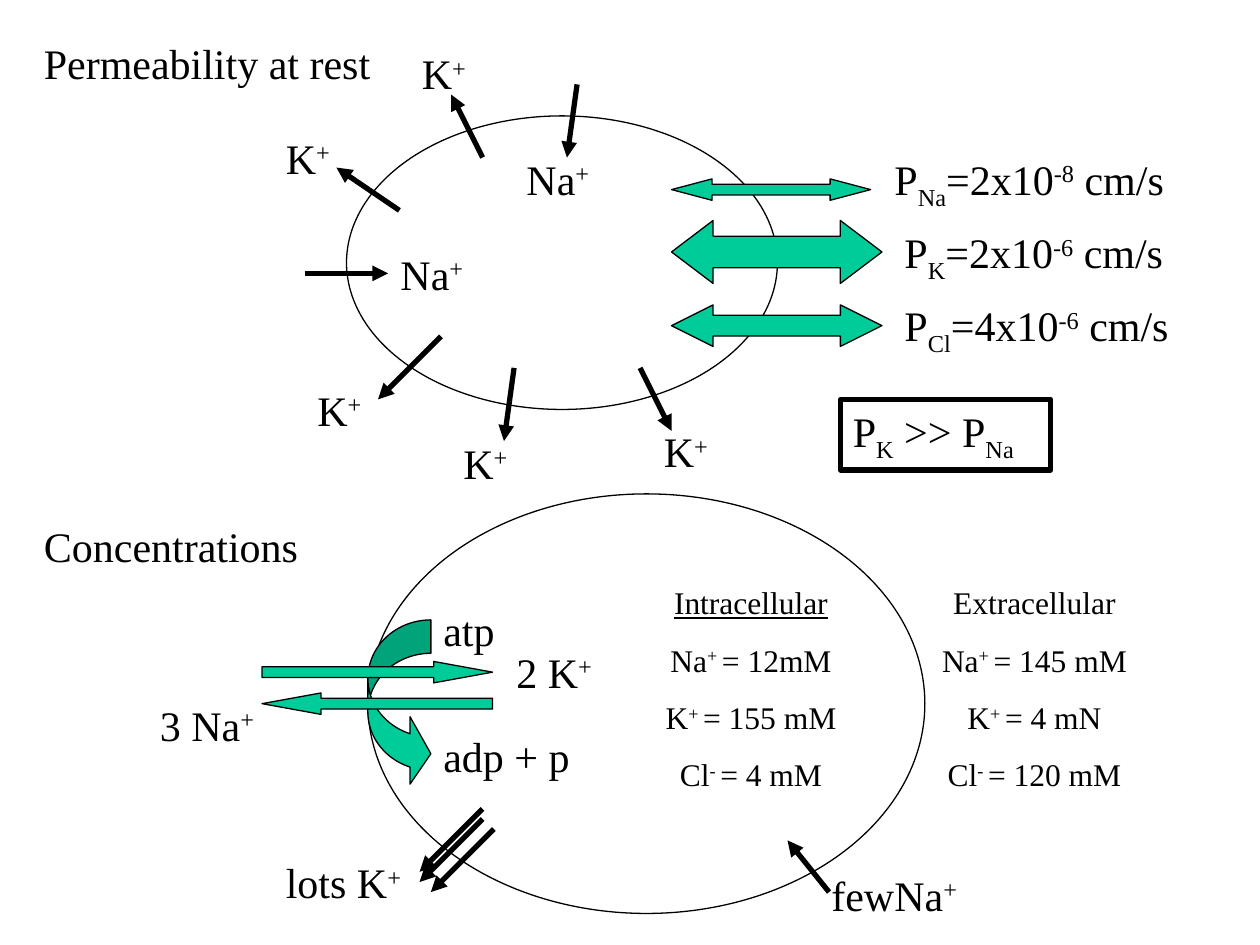
from lxml import etree
from pptx import Presentation
from pptx.dml.color import RGBColor
from pptx.enum.shapes import MSO_CONNECTOR, MSO_SHAPE as SHAPE
from pptx.enum.text import MSO_AUTO_SIZE, PP_ALIGN as ALIGN
from pptx.oxml.ns import qn
from pptx.util import Inches, Pt

BLACK = RGBColor(0x00, 0x00, 0x00)
GREEN = RGBColor(0x00, 0xCC, 0x99)
FONT = "Times New Roman"
BASELINES = {"^": "30000", "_": "-25000"}

deck = Presentation()
deck.slide_width, deck.slide_height = Inches(10), Inches(7.5)
page = deck.slides.add_slide(deck.slide_layouts[6])


def add_text(left, top, width, height, lines, size=24, align=ALIGN.LEFT, wrap=True):
    """Runs are split by |; a leading ^ raises a run and _ lowers it."""
    box = page.shapes.add_textbox(Inches(left), Inches(top), Inches(width), Inches(height))
    frame = box.text_frame
    frame.word_wrap = wrap
    frame.auto_size = MSO_AUTO_SIZE.SHAPE_TO_FIT_TEXT
    for number, line in enumerate(lines):
        para = frame.add_paragraph() if number else frame.paragraphs[0]
        para.alignment = align
        if number:
            para.space_before = Pt(11.2)
        for part in line.split("|"):
            span = para.add_run()
            span.text = part.lstrip("^_")
            span.font.name = FONT
            span.font.size = Pt(size)
            span.font.color.rgb = BLACK
            if part[0] in BASELINES:
                span.font._element.set("baseline", BASELINES[part[0]])
    return box


def add_figure(kind, left, top, width, height, fill=None, adjustments=()):
    figure = page.shapes.add_shape(kind, Inches(left), Inches(top), Inches(width), Inches(height))
    figure.shadow.inherit = False
    if fill is None:
        figure.fill.background()
    else:
        figure.fill.solid()
        figure.fill.fore_color.rgb = fill
    figure.line.color.rgb = BLACK
    figure.line.width = Pt(0.75)
    for index, value in enumerate(adjustments):
        figure.adjustments[index] = value


# Cells
add_figure(SHAPE.OVAL, 2.75, 0.92, 3.42, 2.33)
add_figure(SHAPE.OVAL, 2.92, 3.92, 4.42, 3.33)

# Headings
add_text(0.25, 0.25, 2.79, 0.5, ["Permeability at rest"], wrap=False)
add_text(0.25, 4.08, 2.22, 0.5, ["Concentrations"], wrap=False)

# Ion flow arrows: from x, from y, to x, to y
flows = [
    (4.08, 2.92, 4, 3.5),
    (3.5, 2.67, 3, 3.17),
    (4.58, 0.67, 4.5, 1.25),
    (3.83, 1.25, 3.58, 0.75),
    (2.42, 2.17, 3.08, 2.17),
    (5.08, 2.92, 5.33, 3.42),
    (3.17, 1.67, 2.67, 1.33),
    (3.83, 6.42, 3.33, 6.92),
    (3.83, 6.5, 3.33, 7),
    (3.92, 6.58, 3.42, 7.08),
    (6.58, 7.08, 6.25, 6.67),
]
for flow in flows:
    arrow = page.shapes.add_connector(MSO_CONNECTOR.STRAIGHT, *map(Inches, flow))
    arrow.line.color.rgb = BLACK
    arrow.line.width = Pt(3)
    etree.SubElement(arrow.line._get_or_add_ln(), qn("a:tailEnd"), type="triangle")
    etree.SubElement(arrow._element.spPr, qn("a:effectLst"))

# Two-way permeability arrows: top, width, height, head length
for top, width, height, head in [
    (1.75, 1.67, 0.5, 0.66),
    (2.42, 1.67, 0.33, 1),
    (1.42, 1.58, 0.17, 1.89),
]:
    add_figure(SHAPE.LEFT_RIGHT_ARROW, 5.33, top, width, height, GREEN, (0.5, head))

# Sodium-potassium pump
add_figure(SHAPE.CURVED_RIGHT_ARROW, 2.92, 4.92, 0.5, 1.33, GREEN, (0.53, 1.07, 0.33))
for kind, top in [(SHAPE.LEFT_ARROW, 5.5), (SHAPE.RIGHT_ARROW, 5.25)]:
    add_figure(kind, 2.08, top, 1.83, 0.17, GREEN, (0.5, 2.75))

# Ion and pump labels: left, top, width, wording
labels = [
    (5.17, 3.33, 0.58, "K|^+"),
    (3.08, 1.92, 0.83, "Na|^+"),
    (3.25, 0.33, 0.67, "K|^+"),
    (2.17, 1, 0.58, "K|^+"),
    (3.58, 3.42, 0.67, "K|^+"),
    (4.08, 1.17, 0.75, "Na|^+"),
    (2.42, 3, 0.67, "K|^+"),
    (2.17, 6.75, 1.58, "lots K|^+"),
    (6.5, 6.85, 1.25, "fewNa|^+"),
    (3.42, 4.75, 0.67, "atp"),
    (3.42, 5.75, 1.25, "adp + p"),
    (1.17, 5.5, 1.08, "3 Na|^+"),
    (4, 5.08, 0.83, "2 K|^+"),
]
for left, top, width, wording in labels:
    add_text(left, top, width, 0.5, [wording])

# Permeability values
for left, top, width, wording in [
    (7, 1.17, 2.58, "P|_Na|=2x10|^-8| cm/s"),
    (7.08, 1.75, 2.5, "P|_K|=2x10|^-6| cm/s"),
    (7.08, 2.33, 2.58, "P|_Cl|=4x10|^-6| cm/s"),
]:
    add_text(left, top, width, 0.56, [wording])

# Framed conclusion
conclusion = add_text(6.67, 3.17, 1.67, 0.56, ["P|_K| >> P|_Na"])
conclusion.line.color.rgb = BLACK
conclusion.line.width = Pt(3)

# Concentrations on both sides of the membrane
inside = add_text(5, 4.58, 1.92, 1.77, [
    "Intracellular", "Na|^+ |= 12mM", "K|^+ |= 155 mM", "Cl|^- |= 4 mM",
], size=18, align=ALIGN.CENTER)
inside.text_frame.paragraphs[0].runs[0].font.underline = True
add_text(7.17, 4.58, 2.08, 1.77, [
    "Extracellular", "Na|^+ |= 145 mM", "K|^+ |= 4 mN", "Cl|^- |= 120 mM",
], size=18, align=ALIGN.CENTER)

deck.save("out.pptx")
